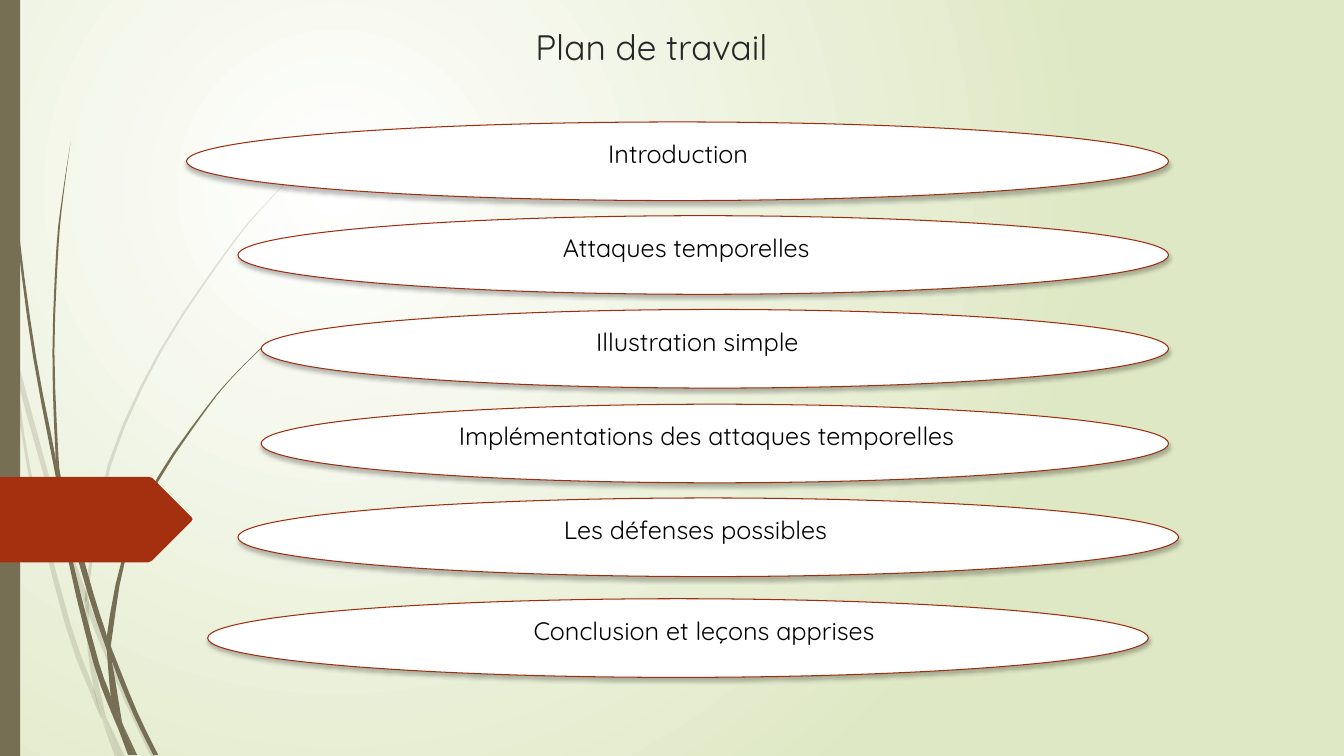
import pptx
import pptx.dml.color
import pptx.enum.shapes
import pptx.enum.text
import pptx.oxml
import pptx.oxml.ns
import pptx.util

# The grid has one-inch cells: 13.33 columns by 7.5 rows
COLUMNS, ROWS = 13.33, 7.5
CELL = pptx.util.Inches(1)
INSET = 0.1
ELLIPSE_TEXT_SHARE = 0.146  # share of an ellipse left of its text area
CURVE_STEPS = 3

COLORS = {
    "white": "FFFFFF",
    "green": "DFE8C4",
    "olive": "766F54",
    "red": "A53010",
    "outline": "9E2E0F",
    "title": "262626",
    "text": "000000",
}
FONT = "Quicksand"
ELLIPSE_HEIGHT = 0.78

# Agenda: wording, left, top, width, start of the text
AGENDA = [
    ("Introduction", 1.85, 1.21, 9.74, 6.03),
    ("Attaques temporelles", 2.36, 2.14, 9.23, 5.58),
    ("Illustration simple", 2.59, 3.07, 9, 5.91),
    ("Implémentations des attaques temporelles", 2.59, 4.01, 9, 4.55),
    ("Les défenses possibles", 2.36, 4.94, 9.33, 5.59),
    ("Conclusion et leçons apprises", 2.06, 5.94, 9.33, 5.29),
]

# Pieces of grass: the points of the left edge and of the right edge, top down
PALE_GRASS = [
    ([(0, 2.99), (0.1, 3.44), (0.11, 3.5)], [(0, 2.82), (0.09, 3.22), (0.11, 3.5)]),
    ([(0.14, 3.45), (0.17, 3.76), (0.58, 5.22), (0.84, 5.99)],
     [(0.14, 3.45), (0.62, 5.2), (0.85, 5.86), (0.84, 5.99)]),
    ([(0.88, 5.96), (0.88, 6.1), (1.23, 6.94), (1.5, 7.51)],
     [(0.88, 5.96), (0.92, 6.07), (1.27, 6.92), (1.55, 7.51)]),
    ([(1.05, 7.11), (1.19, 7.51)], [(1.05, 7.11), (1.24, 7.51)]),
    ([(0.11, 3.5), (0.28, 4.7), (0.65, 6.21), (0.92, 6.93), (1.01, 7.14)],
     [(0.11, 3.5), (0.17, 3.76), (0.31, 4.69), (0.7, 6.19), (0.93, 6.83), (1.01, 7.14)]),
    ([(0.84, 5.99), (0.87, 6.46), (0.93, 6.83), (0.96, 6.92), (1.05, 7.11)],
     [(0.84, 5.99), (0.88, 6.1), (0.91, 6.46), (1.05, 7.11)]),
    ([(3.12, 1.53), (2.68, 1.97), (2.28, 2.44), (1.58, 3.48), (1.07, 4.61),
      (0.85, 5.84), (0.88, 5.96)],
     [(3.12, 1.54), (2.68, 1.98), (2.29, 2.45), (1.6, 3.49), (1.1, 4.62),
      (0.88, 5.84), (0.88, 5.96)]),
    ([(1.01, 7.14), (1.14, 7.51)], [(1.01, 7.14), (1.19, 7.51)]),
    ([(0.85, 5.86), (0.84, 5.99), (0.88, 6.1)], [(0.85, 5.86), (0.88, 5.96), (0.88, 6.1)]),
    ([(0.93, 6.83), (0.99, 7.07), (1.19, 7.51)],
     [(0.93, 6.83), (0.96, 6.92), (1.05, 7.11), (1.19, 7.51)]),
]
DARK_GRASS = [
    ([(0.03, 0), (0.04, 0.48), (0.07, 1.1), (0.17, 2.33), (0.33, 3.55), (0.57, 4.81)],
     [(0.04, 0), (0.05, 0.48), (0.08, 1.09), (0.19, 2.32), (0.36, 3.55), (0.55, 4.53),
      (0.57, 4.81)]),
    ([(0.6, 4.72), (0.64, 5.05), (0.88, 5.92), (1.06, 6.45)],
     [(0.6, 4.72), (0.93, 5.9), (1.06, 6.31), (1.06, 6.45)]),
    ([(1.1, 6.41), (1.11, 6.56), (1.32, 7.08), (1.52, 7.49)],
     [(1.1, 6.41), (1.13, 6.49), (1.36, 7.06), (1.57, 7.49)]),
    ([(0.57, 4.77), (0.68, 5.57), (0.93, 6.59), (1.11, 7.08), (1.17, 7.22)],
     [(0.57, 4.77), (0.64, 5.05), (0.72, 5.56), (0.98, 6.57), (1.1, 6.91), (1.17, 7.22)]),
    ([(0.7, 1.41), (0.62, 1.93), (0.56, 2.45), (0.52, 3.49), (0.55, 4.49), (0.6, 4.72)],
     [(0.7, 1.41), (0.63, 1.93), (0.58, 2.45), (0.54, 3.49), (0.58, 4.53), (0.6, 4.72)]),
    ([(1.22, 7.19), (1.33, 7.49)], [(1.22, 7.19), (1.36, 7.49)]),
    ([(0.55, 4.49), (0.57, 4.77), (0.64, 5.05)], [(0.55, 4.49), (0.6, 4.72), (0.64, 5.05)]),
    ([(2.6, 3.44), (2.31, 3.73), (2.04, 4.05), (1.56, 4.74), (1.22, 5.51),
      (1.06, 6.31), (1.1, 6.41)],
     [(2.61, 3.44), (2.31, 3.74), (2.05, 4.06), (1.58, 4.76), (1.25, 5.52),
      (1.11, 6.33), (1.1, 6.41)]),
    ([(1.17, 7.22), (1.27, 7.49)], [(1.17, 7.22), (1.31, 7.49)]),
    ([(1.06, 6.45), (1.1, 6.91), (1.16, 7.06), (1.22, 7.19)],
     [(1.06, 6.45), (1.11, 6.56), (1.21, 7.16), (1.22, 7.19)]),
    ([(1.06, 6.31), (1.06, 6.45), (1.11, 6.56)], [(1.06, 6.31), (1.1, 6.41), (1.11, 6.56)]),
    ([(1.1, 6.91), (1.17, 7.22), (1.3, 7.49)],
     [(1.1, 6.91), (1.16, 7.06), (1.22, 7.19), (1.33, 7.49)]),
]
ARROW = [(0, 4.73), (1.47, 4.73), (1.51, 4.74), (1.9, 5.13), (1.91, 5.15),
         (1.9, 5.17), (1.51, 5.56), (1.47, 5.58), (0, 5.58)]


def cells(*counts):
    return [round(count * CELL) for count in counts]


def rgb(name):
    return pptx.dml.color.RGBColor.from_string(COLORS[name])


def set_values(target, values):
    for name, value in values.items():
        setattr(target, name, value)


def add_xml(parent, xml, index=None):
    element = pptx.oxml.parse_xml(xml)
    parent.insert(len(parent) if index is None else index, element)


def paint(shape, fill, line=None, opacity=None):
    shape.shadow.inherit = False
    shape.fill.solid()
    shape.fill.fore_color.rgb = rgb(fill)
    if opacity:
        color = shape.element.spPr.find(".//" + pptx.oxml.ns.qn("a:srgbClr"))
        add_xml(color, f'<a:alpha {pptx.oxml.ns.nsdecls("a")} val="{opacity * 1000}"/>')
    if line:
        shape.line.color.rgb = rgb(line)
        shape.line.width = pptx.util.Pt(0.75)
    else:
        shape.line.fill.background()


def add_background(slide):
    add_xml(slide.element.cSld, f"""<p:bg {pptx.oxml.ns.nsdecls("a", "p")}><p:bgPr>
        <a:gradFill rotWithShape="1"><a:gsLst>
        <a:gs pos="0"><a:srgbClr val="{COLORS['white']}"/></a:gs>
        <a:gs pos="100000"><a:srgbClr val="{COLORS['green']}"/></a:gs></a:gsLst>
        <a:path path="circle"><a:fillToRect l="50000" t="50000" r="100000" b="100000"/>
        </a:path></a:gradFill><a:effectLst/></p:bgPr></p:bg>""", 0)


def smooth_edge(points):
    """Trace a Catmull-Rom curve through the points."""
    if len(points) == 2:
        return points
    padded = [points[0], *points, points[-1]]
    curve = []
    for a, b, c, d in zip(padded, padded[1:], padded[2:], padded[3:]):
        for step in range(CURVE_STEPS):
            t = step / CURVE_STEPS
            curve.append(tuple(
                q + t / 2 * (r - p + t * (2 * p - 5 * q + 4 * r - s
                                          + t * (3 * (q - r) + s - p)))
                for p, q, r, s in zip(a, b, c, d)))
    return curve + [points[-1]]


def add_outline(slide, points, fill, opacity=None):
    start, *others = [cells(*point) for point in points]
    builder = slide.shapes.build_freeform(*start)
    builder.add_line_segments(others, close=True)
    paint(builder.convert_to_shape(), fill, opacity=opacity)


def add_grass(slide, pieces, opacity=None):
    for left_edge, right_edge in pieces:
        outline = smooth_edge(left_edge) + smooth_edge(right_edge)[::-1]
        add_outline(slide, outline, "olive", opacity)


def write_text(shape, text, indent, size, color, anchor):
    set_values(shape.text_frame, {"word_wrap": True, "vertical_anchor": anchor})
    paragraph = shape.text_frame.paragraphs[0]
    paragraph.text = text
    paragraph.alignment = pptx.enum.text.PP_ALIGN.LEFT
    paragraph._p.get_or_add_pPr().set("marL", str(cells(indent)[0]))
    font = paragraph.runs[0].font
    set_values(font, {"name": FONT, "size": pptx.util.Pt(size)})
    font.color.rgb = rgb(color)


def add_title(slide, text):
    left, start = 2.54, 5.31
    box = slide.shapes.add_textbox(*cells(left, 0.17, 8.08, 0.55))
    write_text(box, text, start - left - INSET, 25.2, "title",
               pptx.enum.text.MSO_ANCHOR.BOTTOM)


def add_agenda_item(slide, text, left, top, width, start):
    ellipse = slide.shapes.add_shape(pptx.enum.shapes.MSO_SHAPE.OVAL,
                                     *cells(left, top, width, ELLIPSE_HEIGHT))
    paint(ellipse, "white", "outline")
    effects = ellipse.element.spPr.find(pptx.oxml.ns.qn("a:effectLst"))
    add_xml(effects, f"""<a:outerShdw {pptx.oxml.ns.nsdecls("a")} blurRad="38100"
        dist="25400" dir="5400000" rotWithShape="0"><a:srgbClr val="{COLORS['text']}">
        <a:alpha val="25000"/></a:srgbClr></a:outerShdw>""")
    indent = start - left - width * ELLIPSE_TEXT_SHARE - INSET
    write_text(ellipse, text, indent, 18, "text", pptx.enum.text.MSO_ANCHOR.TOP)


def main():
    presentation = pptx.Presentation()
    width, height = cells(COLUMNS, ROWS)
    set_values(presentation, {"slide_width": width, "slide_height": height})
    slide = presentation.slides.add_slide(presentation.slide_layouts[6])
    # Backdrop
    add_background(slide)
    add_grass(slide, PALE_GRASS, opacity=20)
    add_grass(slide, DARK_GRASS)
    side_bar = slide.shapes.add_shape(pptx.enum.shapes.MSO_SHAPE.RECTANGLE,
                                      *cells(0, 0, 0.2, ROWS))
    paint(side_bar, "olive")
    add_outline(slide, ARROW, "red")
    # Title and agenda
    add_title(slide, "Plan de travail")
    for item in AGENDA:
        add_agenda_item(slide, *item)
    presentation.save("out.pptx")


if __name__ == "__main__":
    main()
